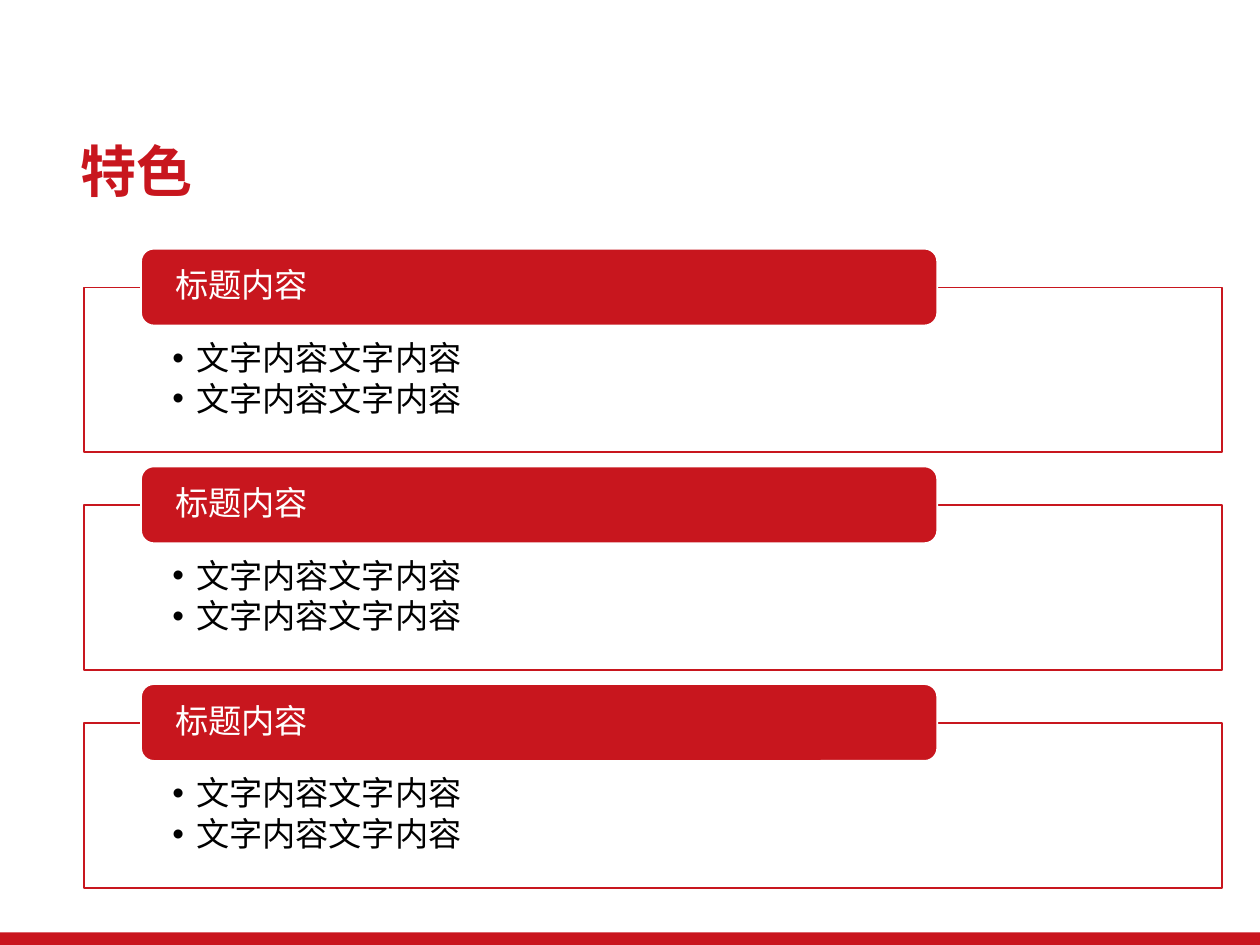
from lxml import etree
from pptx import Presentation, util as u
from pptx.dml.color import RGBColor
from pptx.enum import shapes, text
from pptx.oxml.ns import qn

RED = RGBColor(0xC8, 0x16, 0x1E)
FOOTER_RED = RGBColor(0xC9, 0x15, 0x1E)
WHITE = RGBColor(0xFF, 0xFF, 0xFF)
BLACK = RGBColor(0, 0, 0)
FONT = "Noto Sans CJK SC"
SECTIONS = [("标题内容", ["文字内容文字内容"] * 2)] * 3
FIRST_TOP = 164.2
SECTION_PITCH = 124.4


def add_block(slide, kind, box, fill, line=None):
    block = slide.shapes.add_shape(kind, *map(u.Pt, box))
    block.shadow.inherit = False
    block.fill.solid()
    block.fill.fore_color.rgb = fill
    if line is None:
        block.line.fill.background()
    else:
        block.line.color.rgb = line
        block.line.width = u.Pt(1)
    return block


def set_frame(frame, insets, anchor):
    frame.word_wrap = True
    frame.vertical_anchor = anchor
    (frame.margin_left, frame.margin_top,
     frame.margin_right, frame.margin_bottom) = map(u.Pt, insets)


def add_bullet(paragraph):
    properties = paragraph._p.get_or_add_pPr()
    properties.set("marL", str(u.Pt(13.5)))
    properties.set("indent", str(u.Pt(-13.5)))
    etree.SubElement(properties, qn("a:buFont")).set("typeface", "Arial")
    etree.SubElement(properties, qn("a:buChar")).set("char", "•")


def write_lines(frame, lines, size, color, bold=False, after=0, bulleted=False):
    for index, line in enumerate(lines):
        paragraph = frame.add_paragraph() if index else frame.paragraphs[0]
        if bulleted:
            add_bullet(paragraph)
        paragraph.alignment = text.PP_ALIGN.LEFT
        paragraph.line_spacing = 0.9
        paragraph.space_after = u.Pt(after)
        run = paragraph.add_run()
        run.text = line
        run.font.size = u.Pt(size)
        run.font.bold = bold
        run.font.color.rgb = color
        run.font.name = FONT
        etree.SubElement(run.font._element, qn("a:ea")).set("typeface", FONT)


def add_title(slide, wording):
    title = slide.shapes.add_textbox(*map(u.Pt, (38.9, 77, 659.5, 45.4)))
    set_frame(title.text_frame, (7.2, 3.6, 7.2, 3.6), text.MSO_ANCHOR.MIDDLE)
    write_lines(title.text_frame, [wording], 32, RED, bold=True)


def add_section(slide, top, heading, points):
    body = add_block(slide, shapes.MSO_SHAPE.RECTANGLE,
                     (48.2, top, 650.2, 94.3), WHITE, RED)
    white = body.fill._xPr.find(qn("a:solidFill"))[0]
    etree.SubElement(white, qn("a:alpha")).set("val", "90000")
    set_frame(body.text_frame, (50.4, 31, 50.4, 10.8), text.MSO_ANCHOR.TOP)
    write_lines(body.text_frame, points, 19, BLACK, after=2.85, bulleted=True)

    banner = add_block(slide, shapes.MSO_SHAPE.ROUNDED_RECTANGLE,
                       (80.6, top - 22.1, 455, 43.9), RED, WHITE)
    set_frame(banner.text_frame, (17.3, 0, 17.3, 0), text.MSO_ANCHOR.MIDDLE)
    write_lines(banner.text_frame, [heading], 19, WHITE)


def main():
    deck = Presentation()
    deck.slide_width, deck.slide_height = u.Pt(720), u.Pt(540)
    slide = deck.slides.add_slide(deck.slide_layouts[6])
    add_block(slide, shapes.MSO_SHAPE.RECTANGLE, (0, 532.8, 720, 7.2), FOOTER_RED)
    add_title(slide, "特色")
    for index, (heading, points) in enumerate(SECTIONS):
        add_section(slide, FIRST_TOP + index * SECTION_PITCH, heading, points)
    deck.save("out.pptx")


if __name__ == "__main__":
    main()
